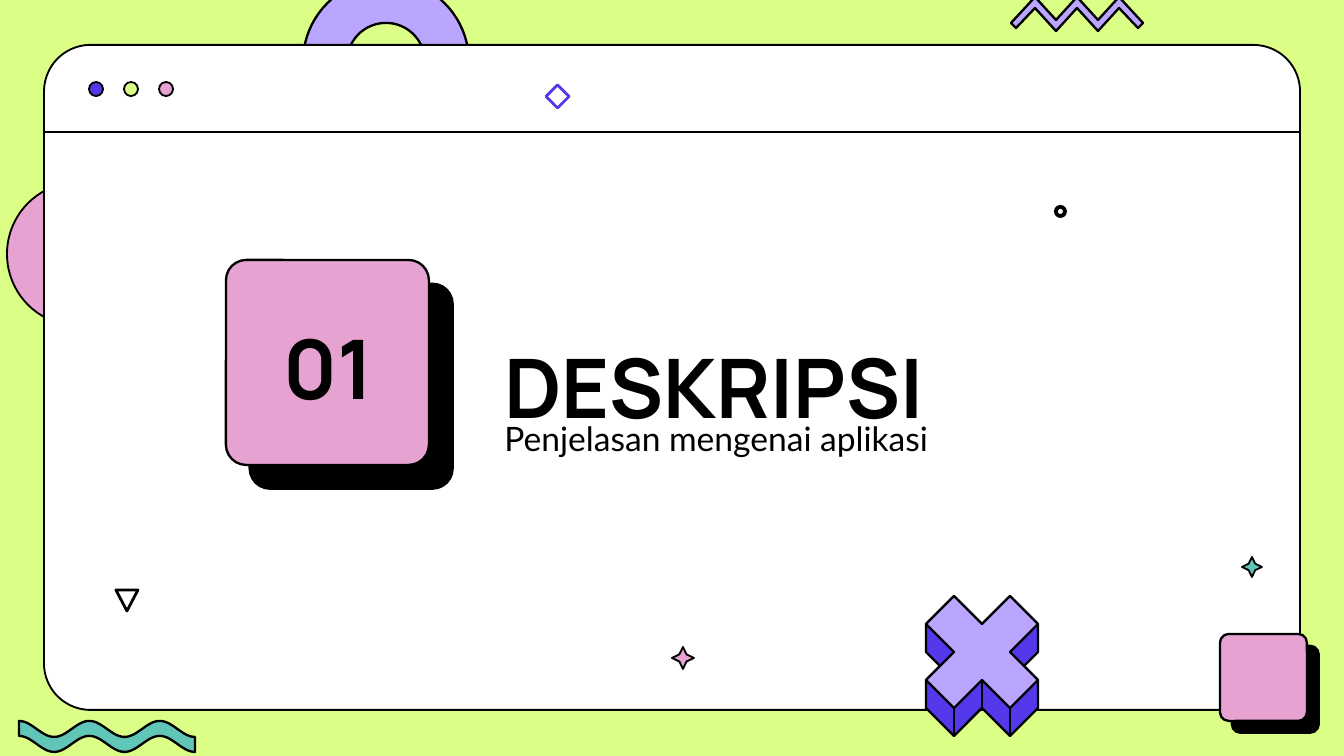
from math import cos, pi, radians, sin
from typing import NamedTuple, Optional

from lxml.etree import SubElement
from pptx import Presentation
from pptx.dml.color import RGBColor
from pptx.enum.shapes import MSO_CONNECTOR, MSO_SHAPE
from pptx.enum.text import MSO_ANCHOR, MSO_AUTO_SIZE, PP_ALIGN
from pptx.oxml.ns import qn
from pptx.util import Emu, Pt

EMU_PER_PX = 914400 / 134.4
COLORS = {
    "lime": "DBFE87", "pink": "E6A2D0", "lilac": "BAA5FF", "violet": "5339EA",
    "teal": "60C7B8", "black": "000000", "white": "FFFFFF",
}


class Box(NamedTuple):
    left: int
    top: int
    width: int
    height: int


class Ornament(NamedTuple):
    kind: MSO_SHAPE
    box: Box
    fill: Optional[str]
    line: Optional[str] = "black"
    weight: float = 1
    adjust: Optional[float] = None
    shadow: int = 0


class Caption(NamedTuple):
    text: str
    box: Box
    size: int
    font: str
    bold: bool
    align: PP_ALIGN
    anchor: MSO_ANCHOR
    inset_top: int = 0


def px(length: float) -> Emu:
    return Emu(round(length * EMU_PER_PX))


def rgb(name: str) -> RGBColor:
    return RGBColor.from_string(COLORS[name])


def paint(shape, fill: Optional[str], line: Optional[str], weight: float) -> None:
    shape.shadow.inherit = False
    if fill:
        shape.fill.solid()
        shape.fill.fore_color.rgb = rgb(fill)
    else:
        shape.fill.background()
    if line:
        shape.line.color.rgb = rgb(line)
        shape.line.width = Pt(weight)
    else:
        shape.line.fill.background()


def cast_shadow(shape, distance: int) -> None:
    """Give the shape a hard black shadow towards the lower right."""
    effects = shape._element.spPr.find(qn("a:effectLst"))
    shadow = SubElement(effects, qn("a:outerShdw"), dist=str(Pt(distance)),
                        dir=str(45 * 60000), algn="bl", rotWithShape="0")
    SubElement(shadow, qn("a:srgbClr"), val=COLORS["black"])


def add_ornament(slide, item: Ornament) -> None:
    shape = slide.shapes.add_shape(item.kind, *map(px, item.box))
    paint(shape, item.fill, item.line, item.weight)
    if item.adjust is not None:
        shape.adjustments[0] = item.adjust
    if item.shadow:
        cast_shadow(shape, item.shadow)


def add_outline(slide, points: list, fill: str, weight: float = 1.25) -> None:
    """Draw a closed polygon through points given in px."""
    corners = [(px(x), px(y)) for x, y in points]
    builder = slide.shapes.build_freeform(*corners[0])
    builder.add_line_segments(corners[1:], close=True)
    paint(builder.convert_to_shape(), fill, "black", weight)


def add_rule(slide, x1: int, y1: int, x2: int, y2: int, weight: float) -> None:
    rule = slide.shapes.add_connector(MSO_CONNECTOR.STRAIGHT, *map(px, (x1, y1, x2, y2)))
    rule.line.color.rgb = rgb("black")
    rule.line.width = Pt(weight)
    SubElement(rule._element.spPr, qn("a:effectLst"))


def arc(cx: float, cy: float, radius: float, start: int, end: int) -> list:
    """Points along a circle, in degrees clockwise from the right."""
    steps = 40
    angles = [radians(start + (end - start) * i / steps) for i in range(steps + 1)]
    return [(cx + radius * cos(a), cy + radius * sin(a)) for a in angles]


def arch(cx: int, cy: int, outer: int, inner: int) -> list:
    middle, cap = (outer + inner) / 2, (outer - inner) / 2
    return (arc(cx, cy, outer, 180, 360) + arc(cx + middle, cy, cap, 0, 180)
            + arc(cx, cy, inner, 360, 180) + arc(cx - middle, cy, cap, 0, 180))


def wave(left: int, right: int, middle: int, height: int, thickness: int) -> list:
    steps, turns = 100, 2.5
    top = [(left + (right - left) * i / steps,
            middle - height * cos(2 * pi * turns * i / steps)) for i in range(steps + 1)]
    return top + [(x, y + thickness) for x, y in reversed(top)]


def zigzag(left: int, top: int) -> list:
    step, rise, thickness = 21, 23, 11
    upper = [(left + 24 + step * i, top + rise * (i % 2)) for i in range(5)]
    lower = [(x, y + thickness) for x, y in reversed(upper)]
    right = upper[-1][0] + 24
    return ([(left, top + 26)] + upper + [(right, top + 26), (right - 5, top + 31)]
            + lower + [(left + 5, top + 31)])


def add_cross(slide, left: int, top: int, unit: int) -> None:
    """Draw the solid X on a grid of equal units."""
    def on_grid(cells: list) -> list:
        return [(left + unit * col, top + unit * row) for col, row in cells]

    side = [(4, 1), (4, 2), (3.5, 2.5), (4, 3), (4, 4), (3, 5), (2, 4), (1, 5), (0, 4),
            (0, 3), (0.5, 2.5), (0, 2), (0, 1), (1, 0), (2, 1), (3, 0)]
    face = [(3, 0), (4, 1), (3, 2), (4, 3), (3, 4), (2, 3), (1, 4), (0, 3), (1, 2),
            (0, 1), (1, 0), (2, 1)]
    add_outline(slide, on_grid(side), "violet")
    add_outline(slide, on_grid(face), "lilac")
    for col, row in [(1, 4), (2, 3), (3, 4)]:
        (x, y1), (_, y2) = on_grid([(col, row), (col, row + 1)])
        add_rule(slide, x, y1, x, y2, 1.5)


def fill_caption(slide, index: int, caption: Caption) -> None:
    holder = slide.placeholders[index]
    slide.shapes._spTree.append(holder._element)  # bring in front of the window
    for name, length in caption.box._asdict().items():
        setattr(holder, name, px(length))
    frame = holder.text_frame
    frame.text = caption.text
    paragraph = frame.paragraphs[0]
    formats = [
        (frame, {"word_wrap": True, "auto_size": MSO_AUTO_SIZE.NONE,
                 "vertical_anchor": caption.anchor,
                 "margin_top": px(caption.inset_top), "margin_bottom": 0}),
        (paragraph, {"alignment": caption.align, "line_spacing": 0.9,
                     "space_before": Pt(0)}),
        (paragraph.runs[0].font, {"size": Pt(caption.size), "name": caption.font,
                                  "bold": caption.bold}),
    ]
    for target, values in formats:
        for name, value in values.items():
            setattr(target, name, value)
    paragraph.runs[0].font.color.rgb = rgb("black")
    properties = paragraph._p.get_or_add_pPr()
    properties.set("marL", "0")
    properties.set("indent", "0")
    SubElement(properties, qn("a:buNone"))


WINDOW = Ornament(MSO_SHAPE.ROUNDED_RECTANGLE, Box(44, 45, 1256, 665), "white", adjust=0.07)
NUMBER_CARD = Ornament(MSO_SHAPE.ROUNDED_RECTANGLE, Box(226, 260, 203, 205), "pink",
                       weight=1.25, adjust=0.1, shadow=18)
CORNER_CARD = Ornament(MSO_SHAPE.ROUNDED_RECTANGLE, Box(1220, 634, 87, 87), "pink",
                       weight=1.25, adjust=0.1, shadow=9)
WINDOW_BUTTONS = [Ornament(MSO_SHAPE.OVAL, Box(89 + 35 * i, 82, 14, 14), color)
                  for i, color in enumerate(["violet", "lime", "pink"])]
SMALL_ORNAMENTS = [
    Ornament(MSO_SHAPE.STAR_4_POINT, Box(672, 647, 22, 22), "pink", adjust=0.23),
    Ornament(MSO_SHAPE.STAR_4_POINT, Box(1242, 557, 20, 20), "teal", adjust=0.23),
    Ornament(MSO_SHAPE.FLOWCHART_MERGE, Box(116, 590, 22, 21), None, weight=1.5),
    Ornament(MSO_SHAPE.DIAMOND, Box(546, 85, 23, 23), None, "violet", 1.5),
    Ornament(MSO_SHAPE.DONUT, Box(1054, 205, 13, 13), "black", None, adjust=0.3),
]
CAPTIONS = [
    Caption("DESKRIPSI", Box(491, 241, 582, 195), 44, "Manrope", True,
            PP_ALIGN.LEFT, MSO_ANCHOR.BOTTOM),
    Caption("Penjelasan mengenai aplikasi", Box(491, 415, 582, 63), 18, "Lato", False,
            PP_ALIGN.LEFT, MSO_ANCHOR.TOP, 7),
    Caption("01", Box(227, 320, 203, 106), 44, "Manrope", True,
            PP_ALIGN.CENTER, MSO_ANCHOR.MIDDLE),
]


def main() -> None:
    deck = Presentation()
    deck.slide_width, deck.slide_height = px(1344), px(756)
    slide = deck.slides.add_slide(deck.slide_layouts.get_by_name("Two Content"))
    slide.background.fill.solid()
    slide.background.fill.fore_color.rgb = rgb("lime")

    add_outline(slide, arch(386, 62, 83, 39), "lilac")
    add_outline(slide, arc(79, 254, 72, 90, 270), "pink", 1)
    add_ornament(slide, WINDOW)
    add_rule(slide, 44, 132, 1300, 132, 1)
    add_ornament(slide, NUMBER_CARD)
    for index, caption in enumerate(CAPTIONS):
        fill_caption(slide, index, caption)
    for item in SMALL_ORNAMENTS:
        add_ornament(slide, item)
    add_cross(slide, 926, 596, 28)
    for item in [CORNER_CARD, *WINDOW_BUTTONS]:
        add_ornament(slide, item)
    add_outline(slide, wave(19, 195, 729, 8, 15), "teal")
    add_outline(slide, zigzag(1011, -3), "lilac")
    deck.save("out.pptx")


if __name__ == "__main__":
    main()
